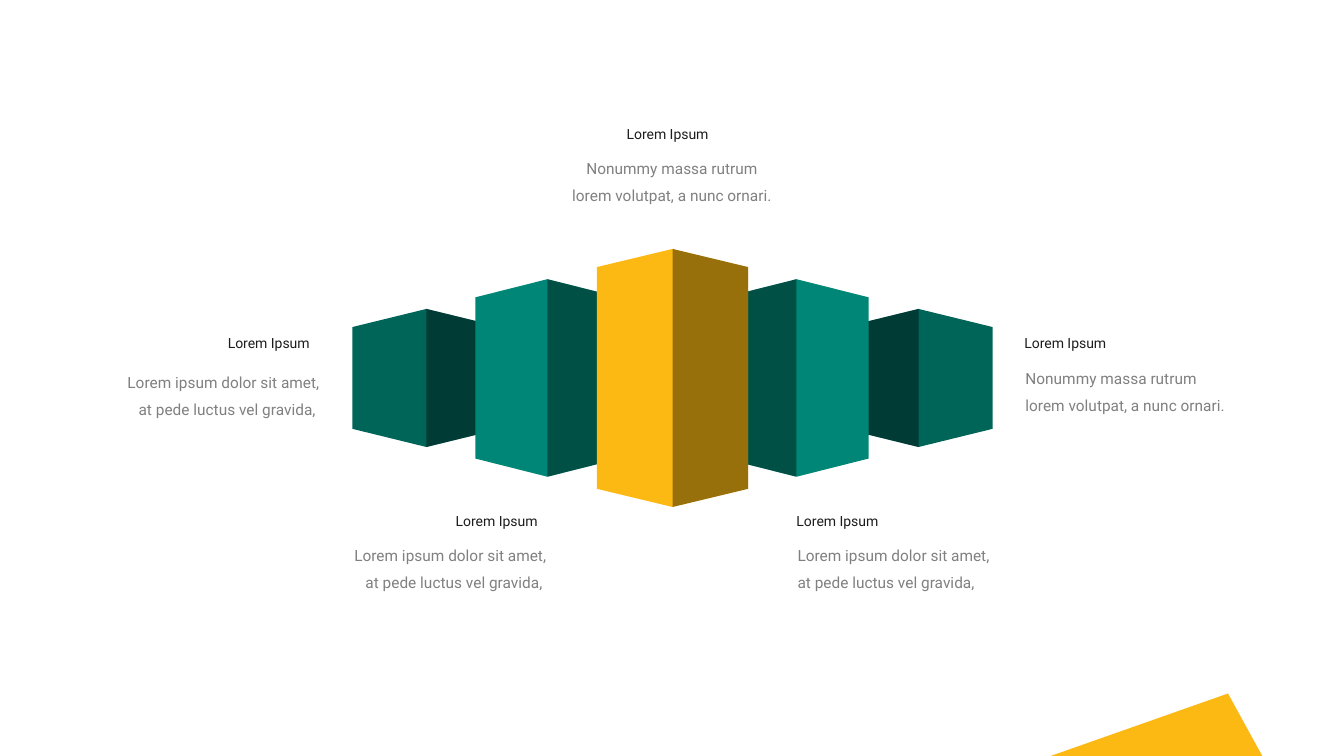
from lxml import etree
from pptx import Presentation
from pptx.dml.color import RGBColor
from pptx.enum.text import MSO_ANCHOR, MSO_AUTO_SIZE, PP_ALIGN
from pptx.oxml.ns import qn
from pptx.util import Inches, Pt

YELLOW, TEAL, DARK_TEAL = "FDB913", "008676", "006559"
BLACK, INK, GREY = "000000", "1C1C1E", "808080"
LEFT, CENTER, RIGHT = PP_ALIGN.LEFT, PP_ALIGN.CENTER, PP_ALIGN.RIGHT
MIDDLE_Y = 3.75
SHOULDER = 0.18

HEADING = "Lorem Ipsum"
NONUMMY = "Nonummy massa rutrum lorem volutpat, a nunc ornari."
DOLOR = "Lorem ipsum dolor sit amet, at pede luctus vel gravida,"


def rgb(hex_color):
    return RGBColor.from_string(hex_color)


class SlideBuilder:
    def __init__(self, slide, font="Roboto"):
        self.slide = slide
        self.font = font

    def polygon(self, points, color, opacity=None):
        """Draw a closed outline; opacity is a percentage."""
        corners = [(Inches(x), Inches(y)) for x, y in points]
        builder = self.slide.shapes.build_freeform(*corners[0], scale=1.0)
        builder.add_line_segments(corners[1:], close=True)
        outline = builder.convert_to_shape()
        outline.shadow.inherit = False
        outline.line.fill.background()
        outline.fill.solid()
        outline.fill.fore_color.rgb = rgb(color)
        if opacity is not None:
            color_node = outline.fill._xPr.find(qn("a:solidFill"))[0]
            etree.SubElement(color_node, qn("a:alpha"), val=str(opacity * 1000))

    def block(self, x, half_width, half_height, color, shaded_side):
        """Draw a folded block; shaded_side is -1 for left, 1 for right."""
        top, bottom = MIDDLE_Y - half_height, MIDDLE_Y + half_height

        def half(side):
            edge = x + side * half_width
            return [(x, top), (edge, top + SHOULDER),
                    (edge, bottom - SHOULDER), (x, bottom)]

        self.polygon(half(1) + half(-1)[2:0:-1], color)
        self.polygon(half(shaded_side), BLACK, opacity=40)

    def text(self, text, x, y, width, height, *, size, color, align=LEFT,
             wrap=True, right_inset=0, line_spacing=None):
        box = self.slide.shapes.add_textbox(
            Inches(x), Inches(y), Inches(width), Inches(height))
        frame = box.text_frame
        frame.word_wrap = wrap
        frame.auto_size = MSO_AUTO_SIZE.SHAPE_TO_FIT_TEXT
        frame.vertical_anchor = MSO_ANCHOR.MIDDLE
        frame.margin_left, frame.margin_right = 0, Inches(right_inset)
        frame.margin_top = frame.margin_bottom = Inches(0.05)
        paragraph = frame.paragraphs[0]
        paragraph.alignment = align
        if line_spacing:
            paragraph.line_spacing = Pt(line_spacing)
        run = paragraph.add_run()
        run.text = text
        run.font.name = self.font
        run.font.size = Pt(size)
        run.font.color.rgb = rgb(color)

    def caption(self, heading_x, heading_y, body_x, body_y, body, align):
        self.text(HEADING, heading_x, heading_y, 0.94, 0.27, size=10, color=INK,
                  align=align, wrap=False, right_inset=0.1)
        self.text(body, body_x, body_y, 2.05, 0.63, size=11, color=GREY,
                  align=align, line_spacing=19)


def main():
    deck = Presentation()
    deck.slide_width, deck.slide_height = Inches(13.33), Inches(7.5)
    page = SlideBuilder(deck.slides.add_slide(deck.slide_layouts[6]))

    page.polygon([(12.18, 6.88), (10.42, 7.5), (12.52, 7.5)], YELLOW)

    # Outer blocks first, so that each inner one overlaps its neighbour
    for x, half_width, half_height, color, shaded_side in [
        (4.23, 0.735, 0.685, DARK_TEAL, 1),
        (5.43, 0.715, 0.98, TEAL, 1),
        (9.11, 0.735, 0.685, DARK_TEAL, -1),
        (7.9, 0.715, 0.98, TEAL, -1),
        (6.67, 0.75, 1.28, YELLOW, 1),
    ]:
        page.block(x, half_width, half_height, color, shaded_side)

    for heading_x, heading_y, body_x, body_y, body, align in [
        (6.2, 1.19, 5.64, 1.45, NONUMMY, CENTER),
        (4.49, 5.03, 3.37, 5.29, DOLOR + " ", RIGHT),
        (7.9, 5.03, 7.91, 5.29, DOLOR, LEFT),
        (2.23, 3.27, 1.12, 3.57, DOLOR + " ", RIGHT),
        (10.16, 3.27, 10.17, 3.53, NONUMMY, LEFT),
    ]:
        page.caption(heading_x, heading_y, body_x, body_y, body, align)

    deck.save("out.pptx")


if __name__ == "__main__":
    main()
